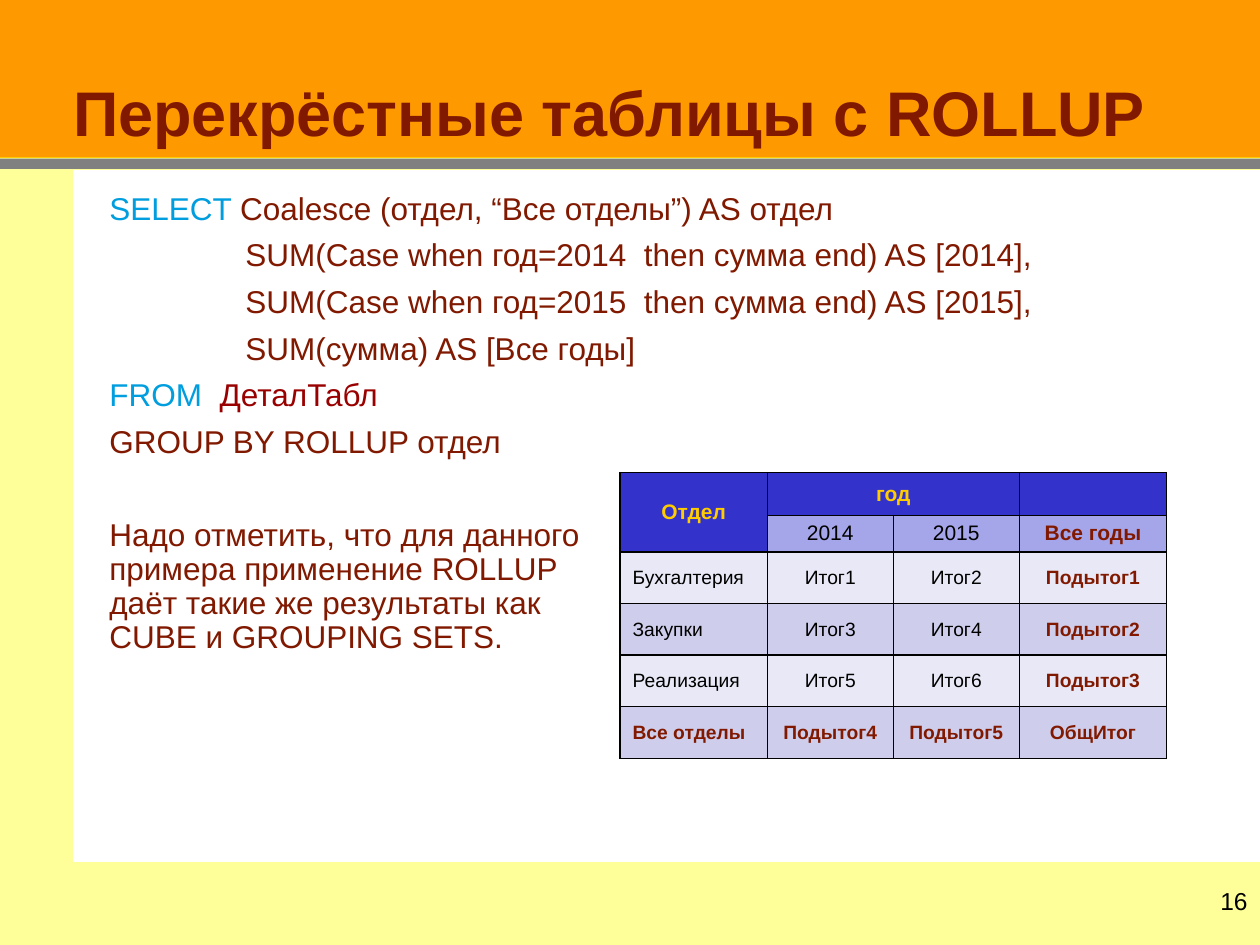
from dataclasses import dataclass

from lxml import etree
from pptx import Presentation, util as u
from pptx.dml.color import RGBColor
from pptx.enum import shapes, text
from pptx.oxml import ns

EMU_PER_PX = 9144  # 100 px to the inch


def px(length):
    return u.Emu(length * EMU_PER_PX)


@dataclass(frozen=True)
class Theme:
    font: str = "Arial"
    orange: str = "FF9900"
    cream: str = "FFFF99"
    grey: str = "808080"
    gold: str = "FFCC00"
    white: str = "FFFFFF"
    black: str = "000000"
    brown: str = "801900"
    red: str = "990000"
    keyword: str = "009EDE"
    head: str = "3333CC"
    subhead: str = "A5A5E9"
    bands: tuple = ("E8E8F6", "CECEEC")
    title_size: int = 36
    body_size: int = 18
    number_size: int = 14
    head_size: int = 12
    cell_size: int = 11


class SlideBuilder:
    def __init__(self, page, theme):
        self.page = page
        self.theme = theme

    def paint(self, item, color):
        item.fill.solid()
        item.fill.fore_color.rgb = RGBColor.from_string(color)

    def span(self, para, words, size, color, bold=False):
        for index, line in enumerate(words.split("\n")):
            if index:
                para.add_line_break()
            span = para.add_run()
            span.text = line
            span.font.name = self.theme.font
            span.font.size = u.Pt(size)
            span.font.bold = bold
            span.font.color.rgb = RGBColor.from_string(color)

    def indent(self, para, left):
        props = para._p.get_or_add_pPr()
        props.set("marL", str(px(left)))
        props.set("indent", "0")

    def band(self, left, top, width, height, color):
        box = self.page.shapes.add_shape(
            shapes.MSO_SHAPE.RECTANGLE, px(left), px(top), px(width), px(height))
        box.shadow.inherit = False
        box.line.fill.background()
        self.paint(box, color)

    def rule(self, left, top, right, color):
        line = self.page.shapes.add_connector(
            shapes.MSO_CONNECTOR.STRAIGHT, px(left), px(top), px(right), px(top))
        line.line.color.rgb = RGBColor.from_string(color)
        line.line.width = u.Pt(1)
        etree.SubElement(line.element.spPr, ns.qn("a:effectLst"))

    def title(self, words, left, top, width, height, indent):
        box = self.page.shapes.title
        box.element.getparent().append(box.element)  # in front of the bands
        box.left, box.top, box.width, box.height = map(px, (left, top, width, height))
        self.paint(box, self.theme.orange)
        frame = box.text_frame
        frame.auto_size = text.MSO_AUTO_SIZE.NONE
        frame.vertical_anchor = text.MSO_ANCHOR.BOTTOM
        para = frame.paragraphs[0]
        para.alignment = text.PP_ALIGN.LEFT
        self.indent(para, indent)
        self.span(para, words, self.theme.title_size, self.theme.brown, True)

    def text_box(self, left, top, width, height):
        box = self.page.shapes.add_textbox(px(left), px(top), px(width), px(height))
        box.text_frame.word_wrap = True
        return box

    def body(self, paragraphs, left, top, width, height, inset):
        box = self.text_box(left, top, width, height)
        self.paint(box, self.theme.white)
        frame = box.text_frame
        frame.margin_top = px(inset)
        for index, (indent, before, spans) in enumerate(paragraphs):
            para = frame.add_paragraph() if index else frame.paragraphs[0]
            para.line_spacing = 0.9
            para.space_before = u.Pt(before)
            para.space_after = u.Pt(1.8)
            self.indent(para, indent)
            for words, color in spans:
                self.span(para, words, self.theme.body_size, color)

    def number(self, words, left, top, width, height):
        para = self.text_box(left, top, width, height).text_frame.paragraphs[0]
        para.alignment = text.PP_ALIGN.RIGHT
        self.span(para, words, self.theme.number_size, self.theme.black)

    def border(self, cell):
        props = cell._tc.get_or_add_tcPr()
        for index, side in enumerate(("lnL", "lnR", "lnT", "lnB")):
            line = etree.Element(ns.qn(f"a:{side}"), w=str(u.Pt(1)))
            fill = etree.SubElement(line, ns.qn("a:solidFill"))
            etree.SubElement(fill, ns.qn("a:srgbClr"), val=self.theme.black)
            props.insert(index, line)

    def cell_look(self, row, col, last_row, last_col):
        """Return fill, text colour, type size and weight of a cell."""
        theme = self.theme
        if row == 0:
            return theme.head, theme.gold, theme.head_size, True
        total = col == last_col or row == last_row
        color = theme.brown if total else theme.black
        if row == 1:
            return theme.subhead, color, theme.head_size, total
        return theme.bands[row % 2], color, theme.cell_size, total

    def table(self, rows, left, top, widths, heights, merges):
        grid = self.page.shapes.add_table(
            len(rows), len(widths), px(left), px(top),
            px(sum(widths)), px(sum(heights))).table
        for column, width in zip(grid.columns, widths):
            column.width = px(width)
        for line, height in zip(grid.rows, heights):
            line.height = px(height)
        for row, values in enumerate(rows):
            for col, words in enumerate(values):
                cell = grid.cell(row, col)
                fill, color, size, bold = self.cell_look(
                    row, col, len(rows) - 1, len(widths) - 1)
                self.paint(cell, fill)
                self.border(cell)
                cell.margin_top = cell.margin_bottom = 0
                cell.vertical_anchor = text.MSO_ANCHOR.MIDDLE
                para = cell.text_frame.paragraphs[0]
                if row < 2 or col:
                    para.alignment = text.PP_ALIGN.CENTER
                if words:
                    self.span(para, words, size, color, bold)
        for first, last in merges:
            grid.cell(*first).merge(grid.cell(*last))


def main():
    theme = Theme()
    deck = Presentation()
    deck.slide_width, deck.slide_height = px(1000), px(750)
    slide = SlideBuilder(deck.slides.add_slide(deck.slide_layouts[5]), theme)

    # Coloured bands and title
    slide.band(0, 0, 1000, 125, theme.orange)
    slide.band(0, 125, 1000, 625, theme.cream)
    slide.band(0, 126, 1000, 8, theme.grey)
    slide.rule(0, 125, 1000, theme.gold)
    slide.title("Перекрёстные таблицы с ROLLUP", 0, 6, 1000, 117, indent=48)

    # Query and remark
    outer, inner, gap, wide_gap = 19, 127, 5.4, 32
    query = [
        (outer, gap, [("SELECT ", theme.keyword),
                      ("Coalesce (отдел, “Все отделы”) AS отдел", theme.brown)]),
        *[(inner, gap, [(f"SUM(Case when год={year}  then сумма end) AS [{year}],",
                         theme.brown)]) for year in (2014, 2015)],
        (inner, gap, [("SUM(сумма) AS [Все годы]", theme.brown)]),
        (outer, gap, [("FROM  ", theme.keyword), ("ДеталТабл", theme.red)]),
        (outer, gap, [("GROUP BY ROLLUP отдел", theme.brown)]),
        (outer, wide_gap, [("Надо отметить, что для данного \n"
                            "примера применение ROLLUP \n"
                            "даёт такие же результаты как \n"
                            "CUBE и GROUPING SETS.", theme.brown)]),
    ]
    slide.body(query, 58, 135, 943, 549, inset=18)
    slide.number("16", 897, 698, 103, 52)

    # Cross table
    rows = [
        ("Отдел", "год", "", ""),
        ("", "2014", "2015", "Все годы"),
        ("Бухгалтерия", "Итог1", "Итог2", "Подытог1"),
        ("Закупки", "Итог3", "Итог4", "Подытог2"),
        ("Реализация", "Итог5", "Итог6", "Подытог3"),
        ("Все отделы", "Подытог4", "Подытог5", "ОбщИтог"),
    ]
    slide.table(rows, 492, 375, (117, 100, 100, 117), (34, 29) + (41,) * 4,
                merges=[((0, 0), (1, 0)), ((0, 1), (0, 2))])

    deck.save("out.pptx")


if __name__ == "__main__":
    main()
